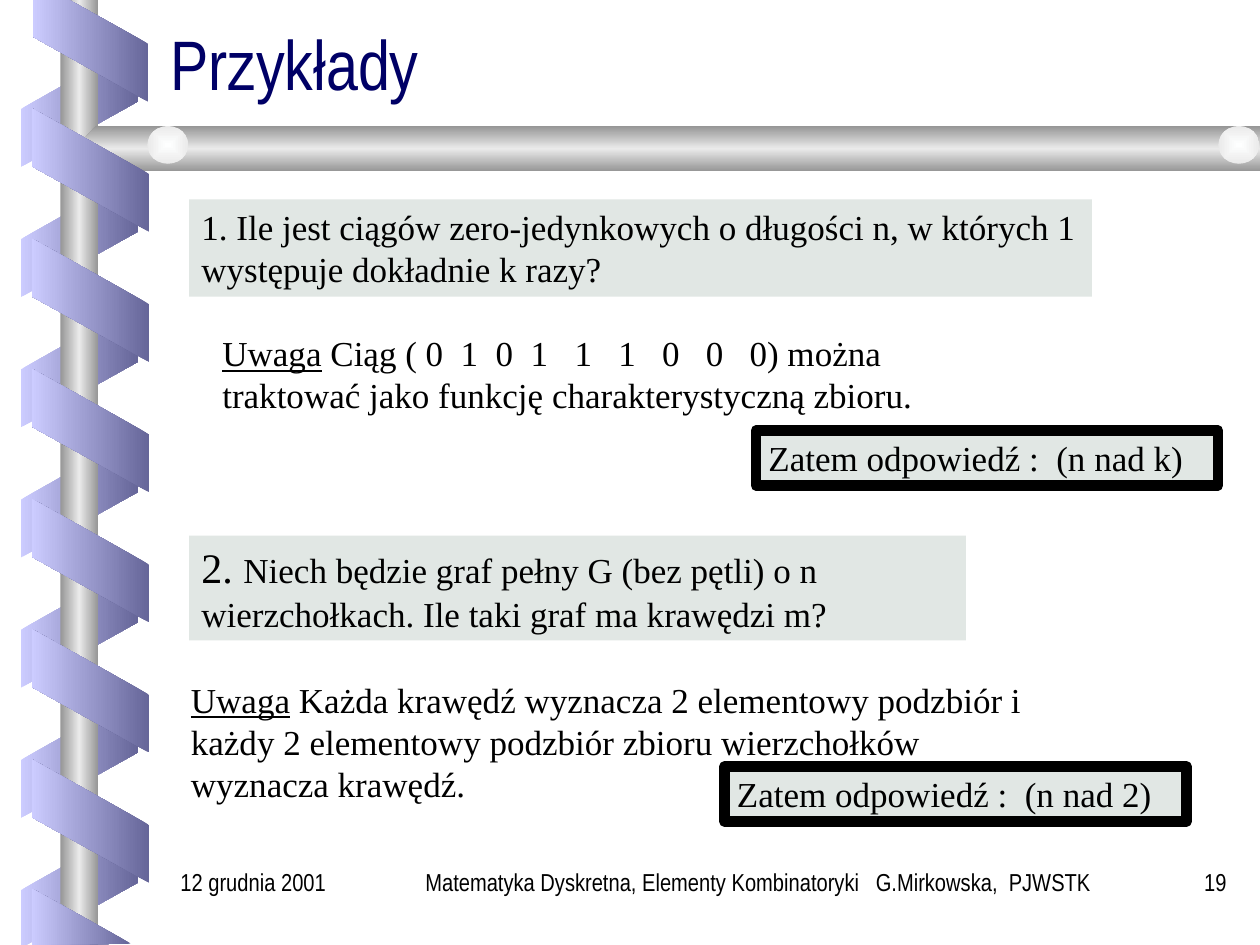
from pptx import Presentation
from pptx.dml.color import RGBColor
from pptx.enum.shapes import MSO_SHAPE as Shape
from pptx.enum.text import MSO_ANCHOR as Anchor, MSO_AUTO_SIZE as AutoSize, PP_ALIGN as Align
from pptx.oxml import parse_xml
from pptx.oxml.ns import nsdecls, qn
from pptx.util import Inches, Pt

COLORS = {
    "navy": "000066", "black": "000000", "panel": "E1E7E4",
    "lilac": "CCCCFF", "violet": "666699",
    "steel": "969696", "silver": "EAEAEA", "pearl": "FEFFFF",
}
SERIF, NARROW = "Times New Roman", "Arial Narrow"
COLUMNS, ROWS = 120, 90
RIBBON_PITCH = 12.4


class SlideBuilder:
    """Places elements on a grid of 120 columns by 90 rows."""

    def __init__(self, presentation):
        self.column = presentation.slide_width / COLUMNS
        self.row = presentation.slide_height / ROWS
        self.slide = presentation.slides.add_slide(presentation.slide_layouts[5])
        self.shapes = self.slide.shapes

    def point(self, x, y):
        return round(x * self.column), round(y * self.row)

    def box(self, x, y, width, height):
        return self.point(x, y) + self.point(width, height)

    def gradient(self, shape, names, angle=None):
        """Spread the named colours evenly; without an angle, run to the centre."""
        step = 100000 // (len(names) - 1)
        stops = "".join(
            f'<a:gs pos="{i * step}"><a:srgbClr val="{COLORS[name]}"/></a:gs>'
            for i, name in enumerate(names))
        if angle is None:
            course = ('<a:path path="rect"><a:fillToRect l="50000" t="50000" '
                      'r="50000" b="50000"/></a:path>')
        else:
            course = f'<a:lin ang="{angle * 60000}" scaled="0"/>'
        shape.fill.solid()
        properties = shape._element.spPr
        properties.replace(properties.find(qn("a:solidFill")), parse_xml(
            f'<a:gradFill rotWithShape="0" {nsdecls("a")}>'
            f'<a:gsLst>{stops}</a:gsLst>{course}</a:gradFill>'))
        shape.line.fill.background()
        shape.shadow.inherit = False

    def preset(self, kind, box, names, angle=None):
        shape = self.shapes.add_shape(kind, *self.box(*box))
        self.gradient(shape, names, angle)
        return shape

    def outline(self, points, names, angle):
        start, *rest = [self.point(*p) for p in points]
        builder = self.shapes.build_freeform(*start)
        builder.add_line_segments(rest, close=True)
        self.gradient(builder.convert_to_shape(), names, angle)

    def ribbons(self, count, x, y, rotation, names, flipped=False):
        for i in range(count):
            ribbon = self.preset(Shape.PARALLELOGRAM,
                                 (x, y + i * RIBBON_PITCH, 11.76, 11.16), names, 180)
            ribbon.adjustments[0] = 0.56
            ribbon.rotation = rotation
            if flipped:
                ribbon._element.spPr.find(qn("a:xfrm")).set("flipH", "1")

    def add_runs(self, frame, runs, font=SERIF, color="black", align=Align.LEFT):
        """Each run is (text, size) or (text, size, underlined)."""
        frame.word_wrap = True
        paragraph = frame.paragraphs[0]
        paragraph.alignment = align
        for text, size, *underlined in runs:
            run = paragraph.add_run()
            run.text = text
            run.font.name, run.font.size = font, Pt(size)
            run.font.color.rgb = RGBColor.from_string(COLORS[color])
            if underlined:
                run.font.underline = True
        return paragraph

    def title(self, text, box):
        title = self.shapes.title
        title.left, title.top, title.width, title.height = self.box(*box)
        frame = title.text_frame
        frame.auto_size = AutoSize.NONE
        frame.vertical_anchor = Anchor.BOTTOM
        self.add_runs(frame, [(text, 40)], NARROW, "navy").line_spacing = 0.8

    def text(self, box, runs, **style):
        self.add_runs(self.shapes.add_textbox(*self.box(*box)).text_frame, runs, **style)

    def panel(self, box, runs, border=0):
        panel = self.shapes.add_shape(Shape.RECTANGLE, *self.box(*box))
        panel.shadow.inherit = False
        panel.fill.solid()
        panel.fill.fore_color.rgb = RGBColor.from_string(COLORS["panel"])
        if border:
            panel.line.color.rgb = RGBColor.from_string(COLORS["black"])
            panel.line.width = Pt(border)
        else:
            panel.line.fill.background()
        panel.text_frame.vertical_anchor = Anchor.TOP
        self.add_runs(panel.text_frame, runs)


def main():
    presentation = Presentation()
    presentation.slide_width, presentation.slide_height = Inches(10), Inches(7.5)
    page = SlideBuilder(presentation)
    ribbon, metal, pearl = ("violet", "lilac"), ("steel", "silver", "steel"), ("pearl", "silver")

    # Spiral behind the pole, pole, bar and its knobs
    page.ribbons(7, 1.68, 4.44, 90, ribbon[::-1], flipped=True)
    page.preset(Shape.RECTANGLE, (5.76, 0, 3.6, 90), metal, 180)
    page.outline([(120, 12), (9.12, 12), (7.2, 14.16), (9.12, 16.32), (120, 16.32)], metal, 90)
    for x in (14.04, 116.04):
        page.preset(Shape.OVAL, (x, 12, 3.9, 3.6), pearl)

    # Spiral in front of the pole, cut off at both slide edges
    page.ribbons(6, 2.72, 10.6, 270, ribbon)
    page.outline([(3.12, 0), (3.12, 3.48), (14.16, 9.72), (14.16, 4.2), (6.6, 0)], ribbon, 180)
    page.outline([(12.48, 89.88), (3, 84.6), (3, 90)], ribbon, 180)

    page.title("Przykłady", (15, 3, 102, 7.5))

    # First example
    page.panel((18, 19, 86, 9.25), [
        ("1. Ile jest ciągów zero-jedynkowych o długości n, w których 1 "
         "występuje dokładnie k razy?", 20)])
    page.text((20, 31, 77, 9.25), [
        ("Uwaga", 20, True),
        (" Ciąg ( 0  1  0  1   1   1   0   0   0) można traktować jako "
         "funkcję charakterystyczną zbioru.", 20)])
    page.panel((72, 41, 44, 5.25), [("Zatem odpowiedź :  (n nad k)", 20)], border=6)

    # Second example
    page.panel((18, 51, 74, 10), [
        ("2. ", 24),
        ("Niech będzie graf pełny G (bez pętli) o n wierzchołkach. "
         "Ile taki graf ma krawędzi m?", 20)])
    page.text((17, 64, 82, 13.25), [
        ("Uwaga", 20, True),
        (" Każda krawędź wyznacza 2 elementowy podzbiór i każdy 2 elementowy "
         "podzbiór zbioru wierzchołków wyznacza krawędź.", 20)])
    page.panel((69, 73, 44, 5.25), [("Zatem odpowiedź :  (n nad 2)", 20)], border=6)

    # Footer
    for x, width, text, align in (
            (38, 69, "Matematyka Dyskretna, Elementy Kombinatoryki   "
                     "G.Mirkowska,  PJWSTK ", Align.CENTER),
            (108, 10, "19", Align.RIGHT),
            (16, 21, "12 grudnia 2001", Align.LEFT)):
        page.text((x, 82, width, 6), [(text, 14)], font=NARROW, align=align)

    presentation.save("out.pptx")


if __name__ == "__main__":
    main()
